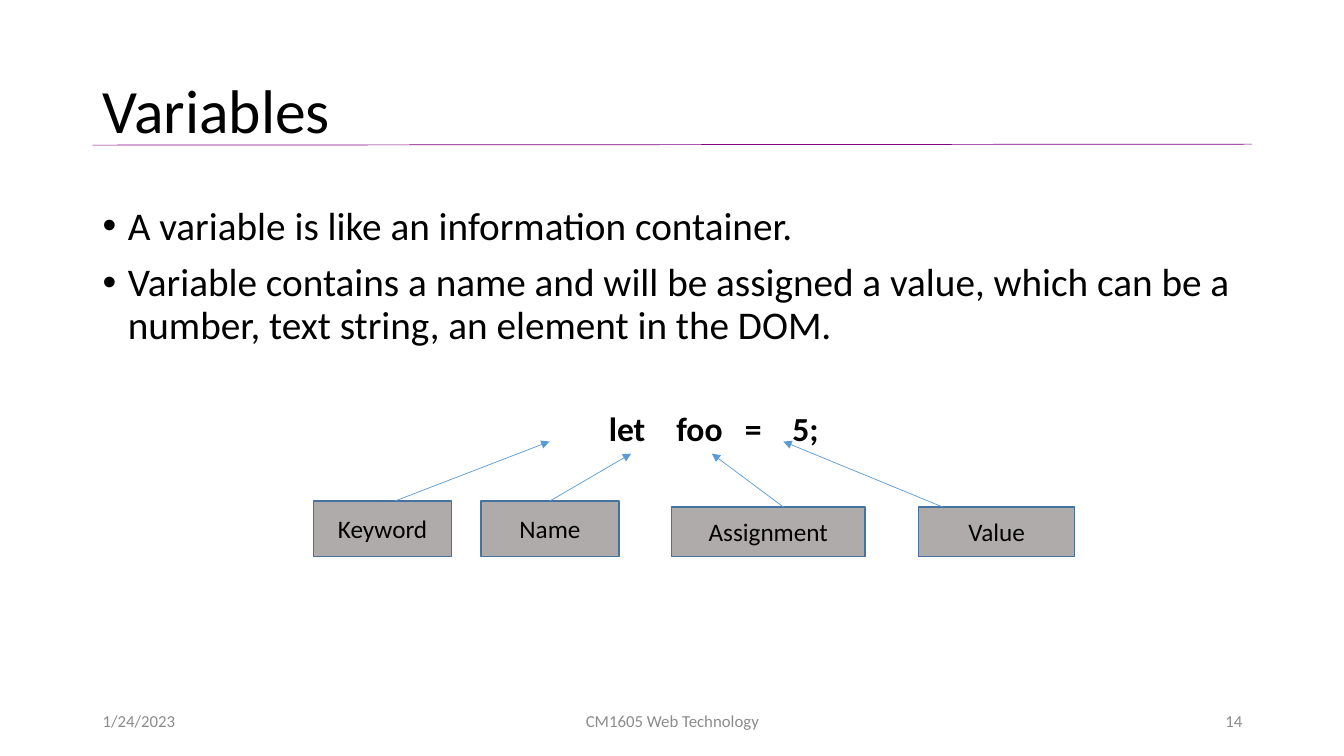
from pptx import Presentation
from pptx import util as u
from pptx.dml.color import RGBColor
from pptx.enum import shapes, text
from pptx.oxml.ns import qn
from lxml import etree

HUES = {"ink": "000000", "grey": "8C8C8C", "rule": "800080",
        "box": "AFABAB", "edge": "43739E", "arrow": "5B9BD5"}
LEFT, WIDE = 0.92, 11.5
ALIGN = text.PP_ALIGN


def hue(name):
    """Return the named colour."""
    return RGBColor.from_string(HUES[name])


def child(node, tag, **attrs):
    """Append an XML element with attributes."""
    return etree.SubElement(node, qn(tag), {k: str(v) for k, v in attrs.items()})


def write(frame, lines, size=18, color="ink", bold=False, align=ALIGN.LEFT,
          anchor=text.MSO_ANCHOR.MIDDLE, space=1, gap=0, bullet=False, tabs=()):
    """Fill a text frame with formatted paragraphs."""
    frame.word_wrap = True
    frame.vertical_anchor = anchor
    for i, line in enumerate(lines):
        para = frame.add_paragraph() if i else frame.paragraphs[0]
        para.text = line
        para.alignment = align
        para.line_spacing = space
        para.space_before = u.Pt(gap if i else 0)
        props = para._p.get_or_add_pPr()
        if bullet:
            props.set("marL", str(u.Inches(0.25)))
            props.set("indent", str(u.Inches(-0.25)))
            child(props, "a:buFont", typeface="Arial")
            child(props, "a:buChar", char="•")
        if tabs:
            stops = child(props, "a:tabLst")
            for stop in tabs:
                child(stops, "a:tab", pos=u.Inches(stop), algn="l")
        font = para.font
        font.name, font.size, font.bold = "Calibri", u.Pt(size), bold
        font.color.rgb = hue(color)


def label(slide, spot, lines, **form):
    """Add a text box."""
    box = slide.shapes.add_textbox(*map(u.Inches, spot))
    write(box.text_frame, lines, **form)
    return box


def line(slide, start, end, color, head=False):
    """Add a thin straight line, with an arrowhead if asked."""
    link = slide.shapes.add_connector(
        shapes.MSO_CONNECTOR.STRAIGHT, *map(u.Inches, start + end))
    link.line.color.rgb = hue(color)
    link.line.width = u.Pt(0.5)
    if head:
        child(link.line._get_or_add_ln(), "a:tailEnd", type="triangle")
    child(link._element.spPr, "a:effectLst")
    return link


def part(slide, name, left, top, width, start, tip):
    """Add a named box with an arrow to its part of the statement."""
    box = slide.shapes.add_shape(
        shapes.MSO_SHAPE.RECTANGLE,
        *map(u.Inches, (left, top, width, 5.52 - top)))
    box.shadow.inherit = False
    box.fill.solid()
    box.fill.fore_color.rgb = hue("box")
    box.line.color.rgb = hue("edge")
    box.line.width = u.Pt(1)
    write(box.text_frame, [name], align=ALIGN.CENTER)
    link = line(slide, (start, top), tip, "arrow", head=True)
    if abs(left + width / 2 - start) < 0.02:
        link.begin_connect(box, 0)


def main():
    """Build the slide."""
    deck = Presentation()
    deck.slide_width, deck.slide_height = u.Inches(13.33), u.Inches(7.5)
    slide = deck.slides.add_slide(deck.slide_layouts[6])
    line(slide, (LEFT, 1.44), (LEFT + WIDE, 1.43), "rule")
    label(slide, (LEFT, 0.4, WIDE, 1.45), ["Variables"], size=44, space=0.9)
    label(slide, (LEFT, 2, WIDE, 1.6), [
        "A variable is like an information container.",
        "Variable contains a name and will be assigned a value, which can be "
        "a number, text string, an element in the DOM.",
    ], size=28, space=0.9, gap=10, bullet=True, anchor=text.MSO_ANCHOR.TOP)
    label(slide, (5.94, 3.95, 2.6, 0.6), ["let\tfoo\t=\t5;"],
          size=24, bold=True, tabs=(0.67, 1.35, 1.82))
    for left, width, words, align in (
            (LEFT, 3, "1/24/2023", ALIGN.LEFT),
            (4.42, 4.5, "CM1605 Web Technology", ALIGN.CENTER),
            (9.42, 3, "14", ALIGN.RIGHT)):
        label(slide, (left, 6.95, width, 0.4), [words],
              size=12, color="grey", align=align)
    for name, left, top, width, start, tip in (
            ("Keyword", 3.11, 4.97, 1.37, 3.92, (5.45, 4.38)),
            ("Name", 4.77, 4.97, 1.37, 5.45, (6.26, 4.5)),
            ("Assignment", 6.66, 5.03, 1.92, 7.77, (7.06, 4.5)),
            ("Value", 9.11, 5.03, 1.55, 9.35, (7.77, 4.38))):
        part(slide, name, left, top, width, start, tip)
    deck.save("out.pptx")


if __name__ == "__main__":
    main()
